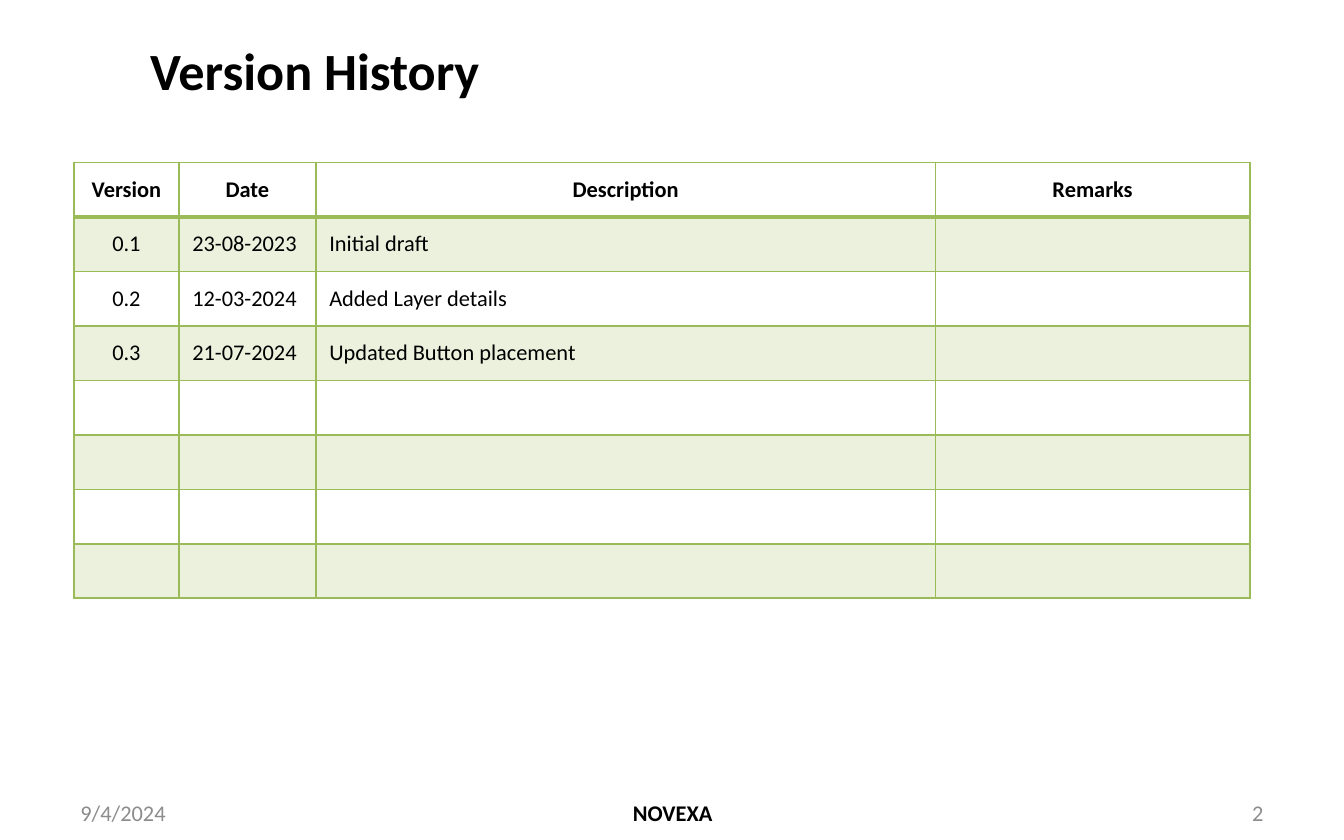
from lxml import etree
from pptx import Presentation
from pptx.dml.color import RGBColor
from pptx.enum import text
from pptx.oxml import ns
from pptx.util import Cm, Pt

BLACK = RGBColor(0x00, 0x00, 0x00)
GREY = RGBColor(0x8C, 0x8C, 0x8C)
GREEN = RGBColor(0x9B, 0xBB, 0x59)
FONT = "Calibri"
LEFT, CENTER, RIGHT = text.PP_ALIGN.LEFT, text.PP_ALIGN.CENTER, text.PP_ALIGN.RIGHT

# wording, (left, top, width, height) in cm, size, colour, bold, alignment
LABELS = [
    ("Version History", (2.59, 0.33, 21.54, 1.96), 28, BLACK, True, LEFT),
    ("9/4/2024", (1.27, 14.94, 5.92, 0.84), 12, GREY, False, LEFT),
    ("2", (18.21, 14.94, 5.92, 0.84), 12, GREY, False, RIGHT),
    ("NOVEXA", (8.69, 14.94, 8.05, 0.84), 12, BLACK, True, CENTER),
]

HEADINGS = ["Version", "Date", "Description", "Remarks"]
VERSIONS = [
    ("0.1", "23-08-2023", "Initial draft"),
    ("0.2", "12-03-2024", "Added Layer details"),
    ("0.3", "21-07-2024", "Updated Button placement"),
]
ROW_COUNT = 8
COLUMN_WIDTHS = [1.98, 2.59, 11.71, 5.94]
ROW_HEIGHT = 1.03
TABLE_LEFT, TABLE_TOP = 1.4, 3.07


def write(paragraph, wording, size, colour, bold, align):
    paragraph.alignment = align
    run = paragraph.add_run()
    run.text = wording
    run.font.name = FONT
    run.font.size = Pt(size)
    run.font.bold = bold
    run.font.color.rgb = colour


def add_label(slide, wording, box, size, colour, bold, align):
    frame = slide.shapes.add_textbox(*map(Cm, box)).text_frame
    frame.word_wrap = True
    frame.vertical_anchor = text.MSO_ANCHOR.MIDDLE
    write(frame.paragraphs[0], wording, size, colour, bold, align)


def tint(cell):
    """Fill the cell with green at 20 % opacity."""
    cell.fill.solid()
    cell.fill.fore_color.rgb = GREEN
    colour = cell.fill._xPr.find(".//" + ns.qn("a:srgbClr"))
    etree.SubElement(colour, ns.qn("a:alpha"), val="20000")


def set_borders(cell, top, bottom):
    """Draw green borders; they must come before the fill in the XML."""
    properties = cell._tc.get_or_add_tcPr()
    sides = {"a:lnL": 1, "a:lnR": 1, "a:lnT": top, "a:lnB": bottom}
    for place, (side, width) in enumerate(sides.items()):
        line = etree.Element(ns.qn(side), w=str(Pt(width)))
        fill = etree.SubElement(line, ns.qn("a:solidFill"))
        etree.SubElement(fill, ns.qn("a:srgbClr"), val=str(GREEN))
        properties.insert(place, line)


def add_history(slide):
    table = slide.shapes.add_table(
        ROW_COUNT, len(HEADINGS), Cm(TABLE_LEFT), Cm(TABLE_TOP),
        Cm(sum(COLUMN_WIDTHS)), Cm(ROW_HEIGHT * ROW_COUNT)).table
    table.horz_banding = False
    for column, width in zip(table.columns, COLUMN_WIDTHS):
        column.width = Cm(width)
    for row in table.rows:
        row.height = Cm(ROW_HEIGHT)

    entries = [HEADINGS, *VERSIONS]
    for r in range(ROW_COUNT):
        entry = entries[r] if r < len(entries) else ()
        for c in range(len(HEADINGS)):
            cell = table.cell(r, c)
            cell.vertical_anchor = text.MSO_ANCHOR.MIDDLE
            cell.margin_top = cell.margin_bottom = Cm(0.1)
            if r % 2:
                tint(cell)
            else:
                cell.fill.background()
            set_borders(cell, top=2 if r == 1 else 1, bottom=2 if r == 0 else 1)
            if c < len(entry):
                align = CENTER if r == 0 or c == 0 else LEFT
                write(cell.text_frame.paragraphs[0], entry[c], 12, BLACK, r == 0, align)


def main():
    deck = Presentation()
    deck.slide_width, deck.slide_height = Cm(25.4), Cm(15.88)
    slide = deck.slides.add_slide(deck.slide_layouts[6])
    add_history(slide)
    for label in LABELS:
        add_label(slide, *label)
    deck.save("out.pptx")


if __name__ == "__main__":
    main()
